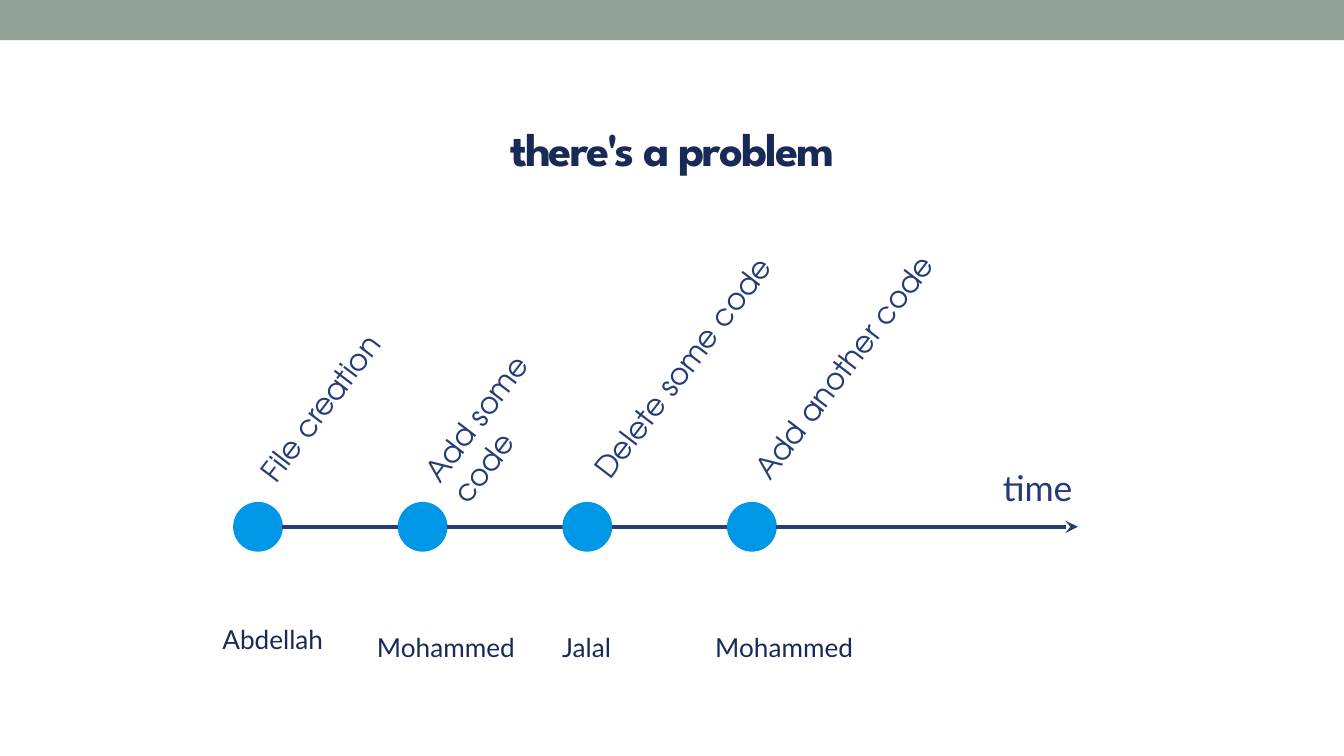
import pptx
import pptx.dml.color
import pptx.enum.shapes
import pptx.enum.text
import pptx.oxml.ns
import pptx.util
from lxml import etree

Inches = pptx.util.Inches
Pt = pptx.util.Pt
ALIGN = pptx.enum.text.PP_ALIGN
SHAPE = pptx.enum.shapes.MSO_SHAPE

SAGE, BLUE, INDIGO, NAVY = "93A299", "0097E6", "273C75", "192A56"


def color(hex_value):
    return pptx.dml.color.RGBColor.from_string(hex_value)


def add_child(parent, tag, **attributes):
    return etree.SubElement(parent, pptx.oxml.ns.qn(tag), attributes)


class TimelineSlide:
    inset = Inches(0.1)
    line_width = Pt(2.25)

    def __init__(self, slide):
        self.slide = slide

    def filled(self, preset, left, top, width, height, fill):
        shape = self.slide.shapes.add_shape(
            preset, Inches(left), Inches(top), Inches(width), Inches(height))
        shape.shadow.inherit = False
        shape.fill.solid()
        shape.fill.fore_color.rgb = color(fill)
        shape.line.color.rgb = color(fill)
        shape.line.width = Pt(0.75)
        return shape

    def horizontal_line(self, start, end, y, arrow=False):
        connector = self.slide.shapes.add_connector(
            pptx.enum.shapes.MSO_CONNECTOR.STRAIGHT,
            Inches(start), Inches(y), Inches(end), Inches(y))
        connector.line.color.rgb = color(INDIGO)
        connector.line.width = self.line_width
        if arrow:
            add_child(connector.line._get_or_add_ln(), "a:tailEnd", type="stealth")
        add_child(connector._element.spPr, "a:effectLst")

    def text(self, content, left, top, width, height, font, size, fill,
             align=ALIGN.CENTER, bold=False, rotation=0, spacing=0):
        box = self.slide.shapes.add_textbox(
            Inches(left), Inches(top), Inches(width), Inches(height))
        box.rotation = rotation
        frame = box.text_frame
        frame.word_wrap = True
        frame.margin_left = frame.margin_right = self.inset
        frame.margin_top = frame.margin_bottom = self.inset
        paragraph = frame.paragraphs[0]
        paragraph.alignment = align
        run = paragraph.add_run()
        run.text = content
        paragraph.font.name = font
        paragraph.font.size = Pt(size)
        paragraph.font.bold = bold
        paragraph.font.color.rgb = color(fill)
        if spacing:
            run.font._element.set("spc", str(spacing * 100))


def main():
    presentation = pptx.Presentation()
    presentation.slide_width = Inches(10)
    presentation.slide_height = Inches(10 * 9 / 16)
    timeline = TimelineSlide(
        presentation.slides.add_slide(presentation.slide_layouts[6]))

    band = timeline.filled(SHAPE.RECTANGLE, 0, 0, 10, 0.3, SAGE)
    band.line.fill.background()
    timeline.text("there's a problem", 0.34, 0.79, 9.32, 0.63,
                  "League Spartan", 25, NAVY, bold=True, spacing=-1)

    first_dot, step, diameter, axis = 1.74, 1.225, 0.36, 3.92
    axis_end = 8.02
    # action, its left, top and width; author, its left, top, width and alignment
    commits = [
        ("File creation", 1.54, 2.62, 1.95,
         "Abdellah", 1.48, 4.54, 1.1, ALIGN.CENTER),
        ("Add some code", 2.76, 2.62, 1.95,
         "Mohammed", 2.58, 4.6, 1.35, ALIGN.RIGHT),
        ("Delete some code", 3.97, 2.48, 2.24,
         "Jalal", 3.93, 4.6, 0.87, ALIGN.CENTER),
        ("Add another code", 5.12, 2.4, 2.45,
         "Mohammed", 5.16, 4.6, 1.35, ALIGN.CENTER),
    ]
    for index, (action, action_left, action_top, action_width,
                author, author_left, author_top, author_width,
                author_align) in enumerate(commits):
        dot = first_dot + index * step
        last = index == len(commits) - 1
        timeline.filled(SHAPE.OVAL, dot, axis - diameter / 2,
                        diameter, diameter, BLUE)
        timeline.horizontal_line(dot + diameter, axis_end if last else dot + step,
                                 axis, arrow=last)
        timeline.text(action, action_left, action_top, action_width, 0.46,
                      "TeX Gyre Adventor", 16, INDIGO,
                      align=ALIGN.LEFT, rotation=307.4)
        timeline.text(author, author_left, author_top, author_width, 0.52,
                      "Lato", 14, NAVY, align=author_align)
    timeline.text("time", 7.17, 3.37, 1.1, 0.46, "Lato", 19, INDIGO)

    presentation.save("out.pptx")


if __name__ == "__main__":
    main()
